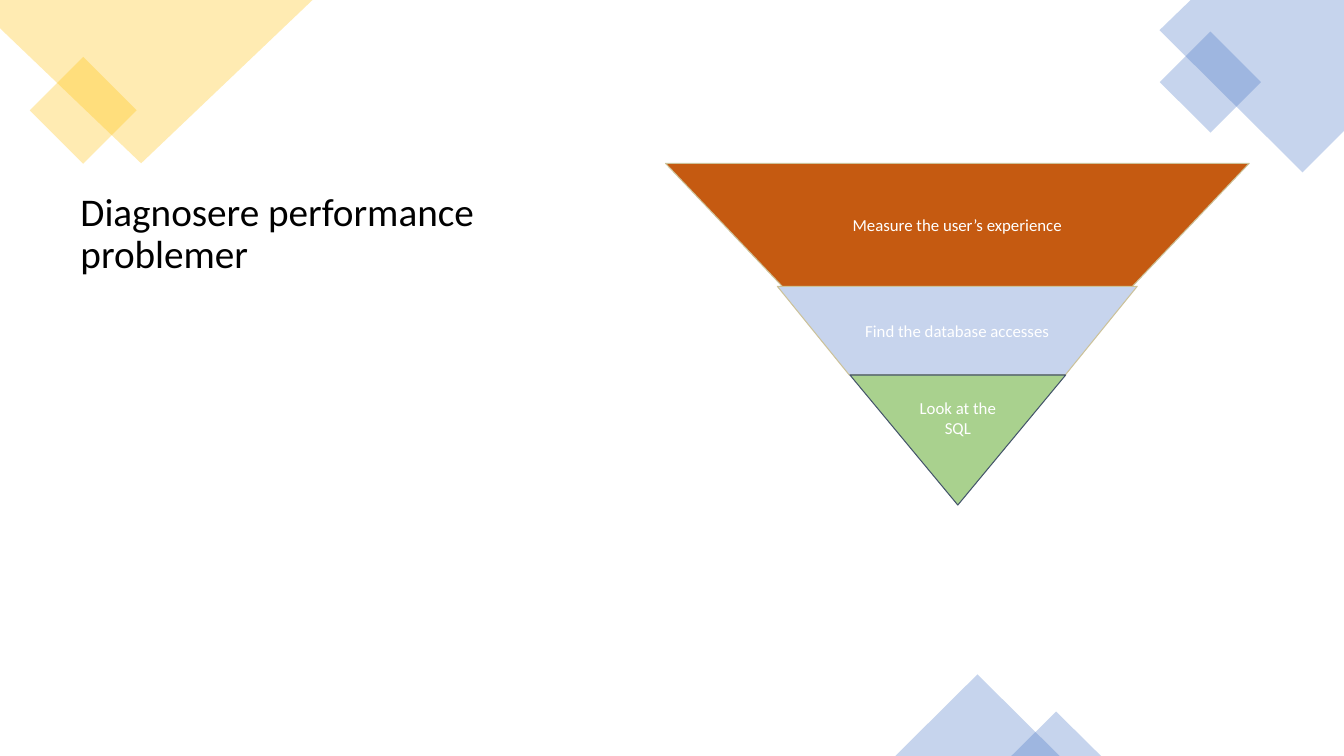
from lxml import etree
from pptx import Presentation
from pptx import util as u
from pptx.dml.color import RGBColor
from pptx.enum import shapes, text
from pptx.oxml.ns import qn

INK = {
    "black": "000000", "white": "FFFFFF", "gold": "FFC000", "blue": "4472C4",
    "pale": "C7D4ED", "green": "A9D18E", "rust": "C55A11",
    "sand": "CCC299", "slate": "44546A",
}
KIND = shapes.MSO_SHAPE


def write(frame, words, size=12, ink="white", align=text.PP_ALIGN.CENTER,
          anchor=text.MSO_ANCHOR.MIDDLE, after=6, space=1.0, top=0.1, base=0.1):
    frame.word_wrap = True
    frame.vertical_anchor = anchor
    frame.margin_left = frame.margin_right = u.Inches(0.1)
    frame.margin_top, frame.margin_bottom = u.Inches(top), u.Inches(base)
    para = frame.paragraphs[0]
    para.alignment = align
    para.line_spacing = space
    para.space_after = u.Pt(after)
    run = para.add_run()
    run.text = words
    run.font.name = "Calibri"
    run.font.size = u.Pt(size)
    run.font.color.rgb = RGBColor.from_string(INK[ink])


class Deck:
    def __init__(self):
        self.show = Presentation()
        self.show.slide_width = u.Inches(13.33)
        self.show.slide_height = u.Inches(7.5)
        self.page = self.show.slides.add_slide(self.show.slide_layouts[6])

    def paint(self, item, fill, line=None, alpha=None):
        item.shadow.inherit = False
        item.fill.solid()
        item.fill.fore_color.rgb = RGBColor.from_string(INK[fill])
        if alpha:
            tint = item._element.spPr.find(qn("a:solidFill"))[0]
            etree.SubElement(tint, qn("a:alpha")).set("val", str(alpha * 1000))
        if line:
            item.line.color.rgb = RGBColor.from_string(INK[line])
            item.line.width = u.Pt(0.75)
        else:
            item.line.fill.background()

    def shape(self, kind, box, fill, line=None, alpha=None, turn=0):
        item = self.page.shapes.add_shape(kind, *map(u.Inches, box))
        item.rotation = turn
        self.paint(item, fill, line, alpha)
        return item

    def patch(self, points, fill):
        spots = [(u.Inches(x), u.Inches(y)) for x, y in points]
        pen = self.page.shapes.build_freeform(*spots[0])
        pen.add_line_segments(spots[1:], close=True)
        self.paint(pen.convert_to_shape(), fill, alpha=30)

    def title(self, words, box):
        item = self.page.shapes.add_textbox(*map(u.Inches, box))
        write(item.text_frame, words, size=28, ink="black",
              align=text.PP_ALIGN.LEFT, anchor=text.MSO_ANCHOR.TOP,
              after=0, space=0.9, top=0.05, base=0.05)

    def layer(self, kind, box, fill, line, words, **style):
        write(self.shape(kind, box, fill, line).text_frame, words, **style)


def main():
    deck = Deck()
    deck.title("Diagnosere\u00a0performance problemer".replace("\u00a0", " "),
               (0.7, 1.86, 4.33, 4.94))

    deck.shape(KIND.RECTANGLE, (0.45, 0.72, 0.75, 0.75), "gold", alpha=30, turn=45)
    deck.patch([(0, 0), (3.1, 0), (1.4, 1.62), (0, 0.28)], "gold")
    deck.patch([(11.81, 0), (13.33, 0), (13.33, 1.3), (12.92, 1.71), (11.5, 0.3)],
               "blue")
    deck.shape(KIND.RECTANGLE, (11.65, 0.46, 0.71, 0.71), "blue", alpha=30, turn=45)
    for box in [(8.88, 6.69, 1.63, 0.81), (10.03, 7.06, 0.89, 0.44)]:
        deck.shape(KIND.ISOSCELES_TRIANGLE, box, "blue", alpha=30)

    slab = KIND.FLOWCHART_MANUAL_OPERATION
    deck.layer(slab, (7.71, 2.84, 3.57, 0.88), "pale", "sand",
               "Find the database accesses")
    deck.layer(KIND.FLOWCHART_MERGE, (8.43, 3.72, 2.14, 1.29), "green", "slate",
               "Look at the SQL", top=0.2, base=0)
    deck.layer(slab, (6.6, 1.62, 5.79, 1.22), "rust", "sand",
               "Measure the user’s experience")
    deck.show.save("out.pptx")


if __name__ == "__main__":
    main()
